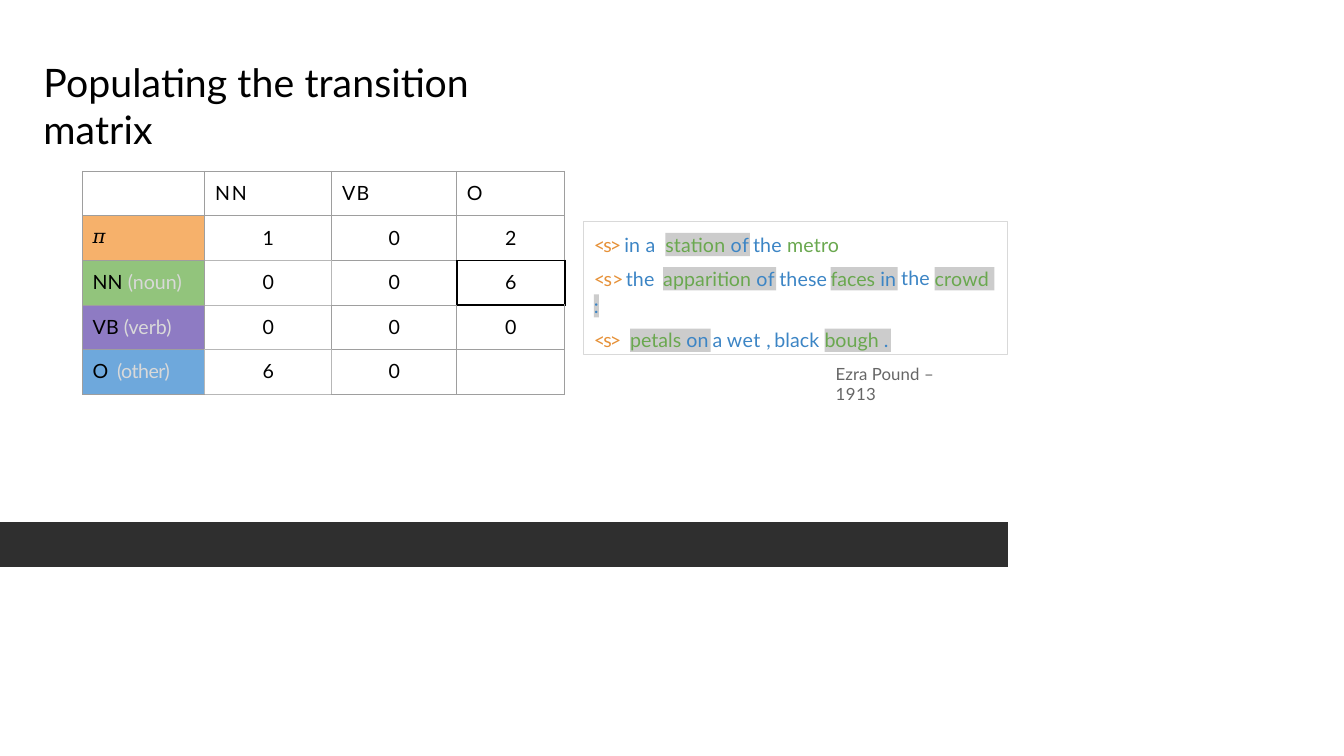
from pptx import Presentation
from pptx.dml.color import RGBColor
from pptx.enum.shapes import MSO_CONNECTOR as Link, MSO_SHAPE as Form
from pptx.enum.text import MSO_ANCHOR as Anchor, MSO_AUTO_SIZE as Auto, PP_ALIGN as Align
from pptx.oxml.ns import qn
from pptx.util import Inches, Pt
from lxml.etree import SubElement as Sub

INK, GREY, MARK, PALE = "000000", "9E9E9E", "CCCCCC", "D9D9D9"
GREEN, BLUE, GOLD, DARK = "6AA84F", "3C85C5", "E69138", "2F2F2F"


def hue(code):
    return RGBColor.from_string(code)


def put(item, **vals):
    for name, val in vals.items():
        setattr(item, name, val)


class Page:
    face = "Lato"
    size = 14
    wide = Inches(13.33)
    high = Inches(7.5)

    def __init__(self):
        self.deck = Presentation()
        put(self.deck, slide_width=self.wide, slide_height=self.high)
        self.slide = self.deck.slides.add_slide(self.deck.slide_layouts[5])
        self.shapes = self.slide.shapes

    def x(self, share):
        return round(self.wide * share / 100)

    def y(self, share):
        return round(self.high * share / 100)

    def area(self, left, top, width, height):
        return self.x(left), self.y(top), self.x(width), self.y(height)

    def say(self, par, runs, size=None):
        for text, tone, gap, *face in runs:
            run = par.add_run()
            run.text = text
            put(run.font, name=face[0] if face else self.face, size=Pt(size or self.size))
            run.font.color.rgb = hue(tone)
            run.font._element.set("spc", str(round(gap * 100)))

    def frame(self, shape, top=0):
        frame = shape.text_frame
        put(frame, word_wrap=True, auto_size=Auto.NONE, vertical_anchor=Anchor.TOP,
            margin_left=0, margin_right=0, margin_bottom=0, margin_top=Inches(top))
        return frame

    def title(self, box, runs):
        shape = self.shapes.title
        put(shape, **dict(zip(("left", "top", "width", "height"), self.area(*box))))
        par = self.frame(shape, 0.01).paragraphs[0]
        par.alignment = Align.LEFT
        self.say(par, runs, 28)

    def label(self, box, lines, top=0.01, size=None):
        frame = self.frame(self.shapes.add_textbox(*self.area(*box)), top)
        for i, (gap, dent, runs) in enumerate(lines):
            par = frame.add_paragraph() if i else frame.paragraphs[0]
            par.space_before = Pt(gap)
            if dent:
                par._p.get_or_add_pPr().set("marL", str(self.x(dent)))
            self.say(par, runs, size)

    def block(self, box, fill=None, line=None, runs=()):
        shape = self.shapes.add_shape(Form.RECTANGLE, *self.area(*box))
        shape.shadow.inherit = False
        if fill:
            shape.fill.solid()
            shape.fill.fore_color.rgb = hue(fill)
        else:
            shape.fill.background()
        if line:
            shape.line.color.rgb = hue(line)
            shape.line.width = Pt(0.75)
        else:
            shape.line.fill.background()
        if runs:
            par = self.frame(shape).paragraphs[0]
            put(par, alignment=Align.LEFT, line_spacing=Pt(16.6))
            self.say(par, runs)

    def rule(self, left, top, right, tone):
        line = self.shapes.add_connector(
            Link.STRAIGHT, self.x(left), self.y(top), self.x(right), self.y(top))
        line.line.color.rgb = hue(tone)
        line.line.width = Pt(0.75)
        Sub(line._element.spPr, qn("a:effectLst"))

    def edge(self, cell, side, tone, width):
        line = Sub(cell._tc.get_or_add_tcPr(), qn(f"a:ln{side}"), w=str(Pt(width)))
        Sub(Sub(line, qn("a:solidFill")), qn("a:srgbClr"), val=tone)

    def table(self, left, top, cols, row, data, fills, edges):
        box = self.area(left, top, sum(cols), row * len(data))
        table = self.shapes.add_table(len(data), len(cols), *box).table
        put(table, first_row=False, horz_banding=False)
        for col, share in zip(table.columns, cols):
            col.width = self.x(share)
        for r, cells in enumerate(data):
            table.rows[r].height = self.y(row)
            for c, runs in enumerate(cells):
                cell = table.cell(r, c)
                inner = r and c
                put(cell, margin_left=0 if inner else Inches(0.1), margin_right=0,
                    margin_top=Inches(0.1), margin_bottom=0)
                for side in "LRTB":
                    self.edge(cell, side, *edges.get((r, c, side), (GREY, 0.75)))
                if r and not c:
                    cell.fill.solid()
                    cell.fill.fore_color.rgb = hue(fills[r - 1])
                else:
                    cell.fill.background()
                par = cell.text_frame.paragraphs[0]
                par.alignment = Align.CENTER if inner else Align.LEFT
                self.say(par, runs)


def borders(*specs):
    near = {"L": (0, -1, "R"), "R": (0, 1, "L"), "T": (-1, 0, "B"), "B": (1, 0, "T")}
    edges = {}
    for r, c, sides, style in specs:
        for side in sides:
            down, over, back = near[side]
            edges[r, c, side] = edges[r + down, c + over, back] = style
    return edges


def main():
    page = Page()
    page.block((0, 69.07, 75, 5.93), DARK)
    page.rule(0, 69.07, 75, DARK)
    page.title((3.23, 7.6, 39, 6.53), [("Populating the transition matrix", INK, 0.1)])

    heads = [[], [("NN", INK, 1.3)], [("VB", INK, 0.9)], [("O", INK, 0)]]
    names = [
        [("𝜋", INK, 0, "Cambria")],
        [("NN ", INK, 0), ("(noun)", PALE, 0)],
        [("VB ", INK, 0), ("(verb)", PALE, 0)],
        [("O ", INK, 1.3), ("(other)", PALE, -0.4)],
    ]
    counts = ["102", "006", "000", ("6", "0", "")]
    rows = [[name] + [[(n, INK, 0)] if n else [] for n in line]
            for name, line in zip(names, counts)]
    soft, bold = ("B7B7B7", 0.75), (INK, 1.5)
    edges = borders((2, 1, "TRB", soft), (4, 1, "LRTB", soft), (2, 3, "LRTB", bold))
    page.table(6.15, 22.67, (9.1, 9.45, 9.3, 8.02), 5.89, [heads] + rows,
               ("F6B16B", "92C47C", "8E7BC3", "6EA8DC"), edges)

    page.block((43.43, 29.33, 31.57, 17.6), line=PALE)
    page.block((44.18, 38.93, 0.38, 3.07), MARK)
    marks = [
        (49.5, 30.8, 6.3, [("station ", GREEN, 0.1), ("of", BLUE, 0.3)]),
        (49.35, 35.33, 8.4, [("apparition ", GREEN, 0.05), ("of", BLUE, 0.3)]),
        (61.8, 35.33, 5, [("faces ", GREEN, 0), ("in", BLUE, 0)]),
        (69.53, 35.33, 4.45, [("crowd", GREEN, 0.2)]),
        (46.88, 43.47, 6, [("petals ", GREEN, 0), ("on", BLUE, 0.1)]),
        (61.35, 43.47, 4.95, [("bough ", GREEN, 0), (".", BLUE, -0.9)]),
    ]
    for left, top, width, runs in marks:
        page.block((left, top, width, 3.07), MARK, runs=runs)

    page.label((56.03, 29.2, 6.6, 9.33), [
        (0, 0, [("the ", BLUE, 0.1), ("metro", GREEN, 0.1)]),
        (7.5, 1.95, [("these", BLUE, 0.1)]),
    ], 0.12)
    page.label((67.05, 35.07, 2.4, 3.47), [(0, 0, [("the", BLUE, 0.1)])])
    page.label((44.18, 29.2, 5.2, 17.47), [
        (0, 0, [("<s> ", GOLD, -1.4), ("in ", BLUE, 0.1), ("a", BLUE, -0.4)]),
        (7.5, 0, [("<s", GOLD, -1.1), ("> ", GOLD, -2), ("the", BLUE, 0.1)]),
        (2.5, 0, [(":", BLUE, -1.4)]),
        (7.5, 0, [("<s>", GOLD, -1.4)]),
    ], 0.12)
    page.label((53.03, 43.2, 8.3, 3.47), [(0, 0, [
        ("a ", BLUE, -0.4), ("wet ", BLUE, 0.3), (", ", BLUE, -1.1), ("black", BLUE, 0.05)])])
    page.label((62.18, 48, 7.6, 5.73), [
        (0, 0, [("Ezra Pound ", "666666", 0.05), ("–", "666666", 0.4)]),
        (0, 0, [("1913", "666666", 0.3)]),
    ], size=12)
    page.deck.save("out.pptx")


if __name__ == "__main__":
    main()
